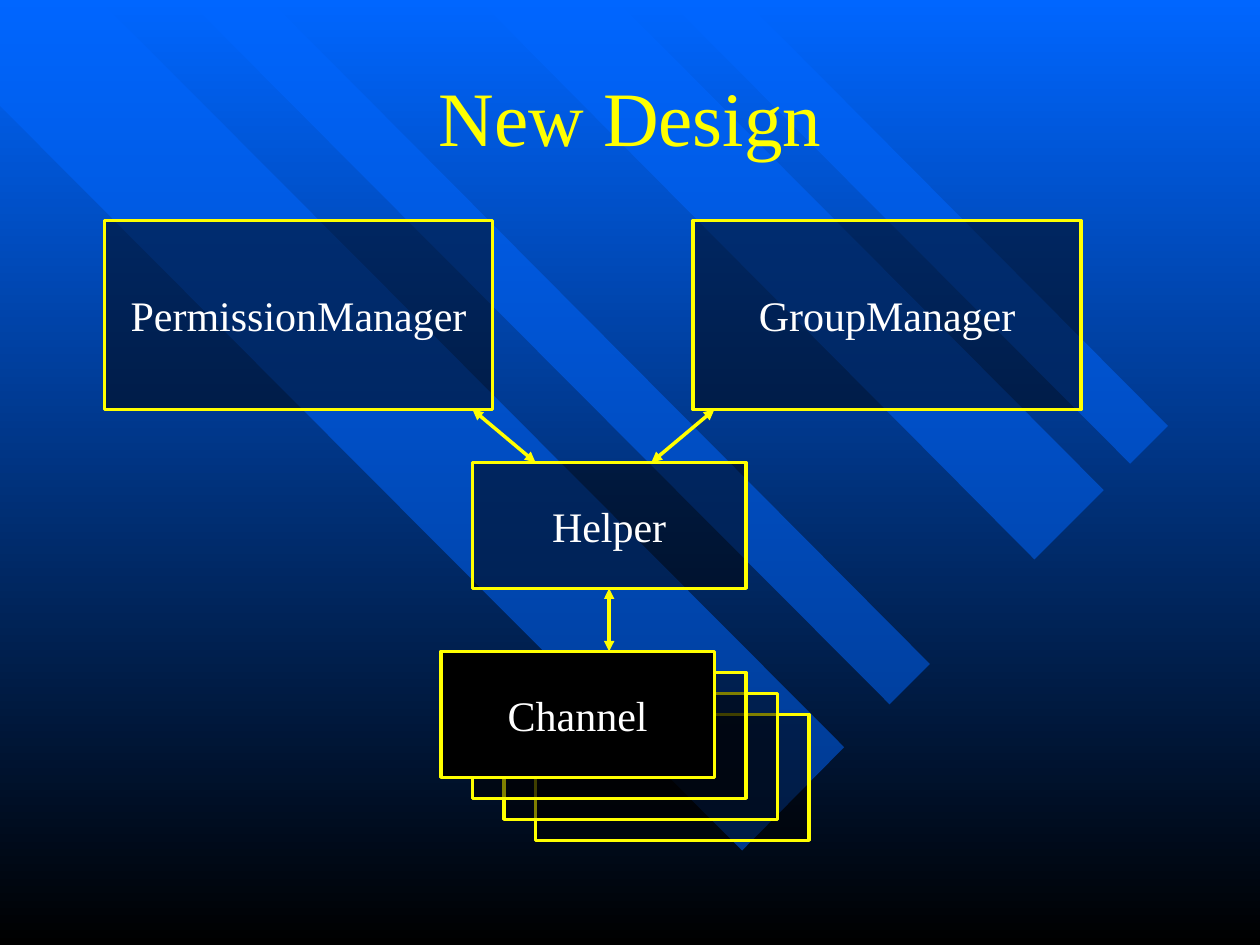
from pptx import Presentation
from pptx.dml.color import RGBColor
from pptx.enum import shapes, text
from pptx.oxml.ns import qn
from pptx.util import Inches, Pt
from lxml import etree

# Content
FONT = "Times New Roman"
BLUE, BLACK, YELLOW, WHITE = "0066FF", "000000", "FFFF00", "FFFFFF"
TITLE = "New Design"
STRIPES = [
    [(6.7, 5.93), (0.79, 0), (0, 0), (0, 0.84), (5.89, 6.75)],
    [(2.14, 0), (7.38, 5.27), (7.06, 5.59), (1.49, 0)],
    [(4.89, 0), (8.76, 3.89), (8.21, 4.44), (3.8, 0)],
    [(5.3, 0), (8.97, 3.68), (9.27, 3.38), (5.91, 0)],
]
MANAGER_SIZE, PART_SIZE = (3.08, 1.5), (2.17, 1)
CHANNEL = (3.5, 5.17)
STACK_STEP = (0.25, 1 / 6)
STACK_COUNT = 3
CLASSES = [  # label, position, size, opacity in percent
    ("PermissionManager", (0.83, 1.75), MANAGER_SIZE, 50),
    ("GroupManager", (5.5, 1.75), MANAGER_SIZE, 50),
    ("Helper", (3.75, 3.67), PART_SIZE, 50),
    ("Channel", CHANNEL, PART_SIZE, 100),
]
MANAGER_LINKS = [((3.75, 3.25), (4.25, 3.67)), ((5.67, 3.25), (5.17, 3.67))]


def color(value):
    return RGBColor.from_string(value)


def fill_shape(shape, value, opacity=100):
    shape.shadow.inherit = False
    shape.fill.solid()
    shape.fill.fore_color.rgb = color(value)
    if opacity < 100:
        tint = shape.fill._xPr.find(qn("a:solidFill"))[0]
        etree.SubElement(tint, qn("a:alpha"), val=str(opacity * 1000))


def outline(shape):
    shape.line.color.rgb = color(YELLOW)
    shape.line.width = Pt(2)


def write(shape, label, size, value):
    frame = shape.text_frame
    frame.text = label
    frame.vertical_anchor = text.MSO_ANCHOR.MIDDLE
    para = frame.paragraphs[0]
    para.alignment = text.PP_ALIGN.CENTER
    para.font.name = FONT
    para.font.size = Pt(size)
    para.font.color.rgb = color(value)


def add_box(page, position, size, opacity):
    box = page.shapes.add_shape(shapes.MSO_SHAPE.RECTANGLE,
                                *map(Inches, position + size))
    fill_shape(box, BLACK, opacity)
    outline(box)
    return box


def add_link(page, start, end):
    link = page.shapes.add_connector(shapes.MSO_CONNECTOR.STRAIGHT,
                                     *map(Inches, start + end))
    outline(link)
    line = link.line._get_or_add_ln()
    for tag in ("a:headEnd", "a:tailEnd"):
        etree.SubElement(line, qn(tag), type="triangle")
    etree.SubElement(link._element.spPr, qn("a:effectLst"))
    return link


deck = Presentation()
deck.slide_width, deck.slide_height = Inches(10), Inches(7.5)
page = deck.slides.add_slide(deck.slide_layouts[5])

# Background gradient and diagonal stripes
backdrop = page.background.fill
backdrop.gradient()
backdrop.gradient_angle = 270
for stop, value in zip(backdrop.gradient_stops, (BLUE, BLACK)):
    stop.color.rgb = color(value)
for points in STRIPES:
    corners = [(Inches(x), Inches(y)) for x, y in points]
    builder = page.shapes.build_freeform(*corners[0])
    builder.add_line_segments(corners[1:], close=True)
    stripe = builder.convert_to_shape()
    fill_shape(stripe, BLUE, 50)
    stripe.line.fill.background()

# Title, brought in front of the stripes
title = page.shapes.title
title.left, title.top, title.width, title.height = map(
    Inches, (0.75, 0.25, 8.5, 1.33))
write(title, TITLE, 44, YELLOW)
page.shapes._spTree.append(title._element)

# Stack of channels, rearmost first
for level in range(STACK_COUNT, 0, -1):
    position = tuple(start + level * step
                     for start, step in zip(CHANNEL, STACK_STEP))
    add_box(page, position, PART_SIZE, 50)

# Labelled classes
boxes = {}
for label, position, size, opacity in CLASSES:
    box = boxes[label] = add_box(page, position, size, opacity)
    write(box, label, 24, WHITE)
    box.text_frame.word_wrap = False

# Links between classes
for start, end in MANAGER_LINKS:
    add_link(page, start, end)
helper = boxes["Helper"]
middle = (helper.left + helper.width / 2) / Inches(1)
link = add_link(page, (middle, 4.67), (middle, CHANNEL[1]))
link.begin_connect(helper, 2)

deck.save("out.pptx")
